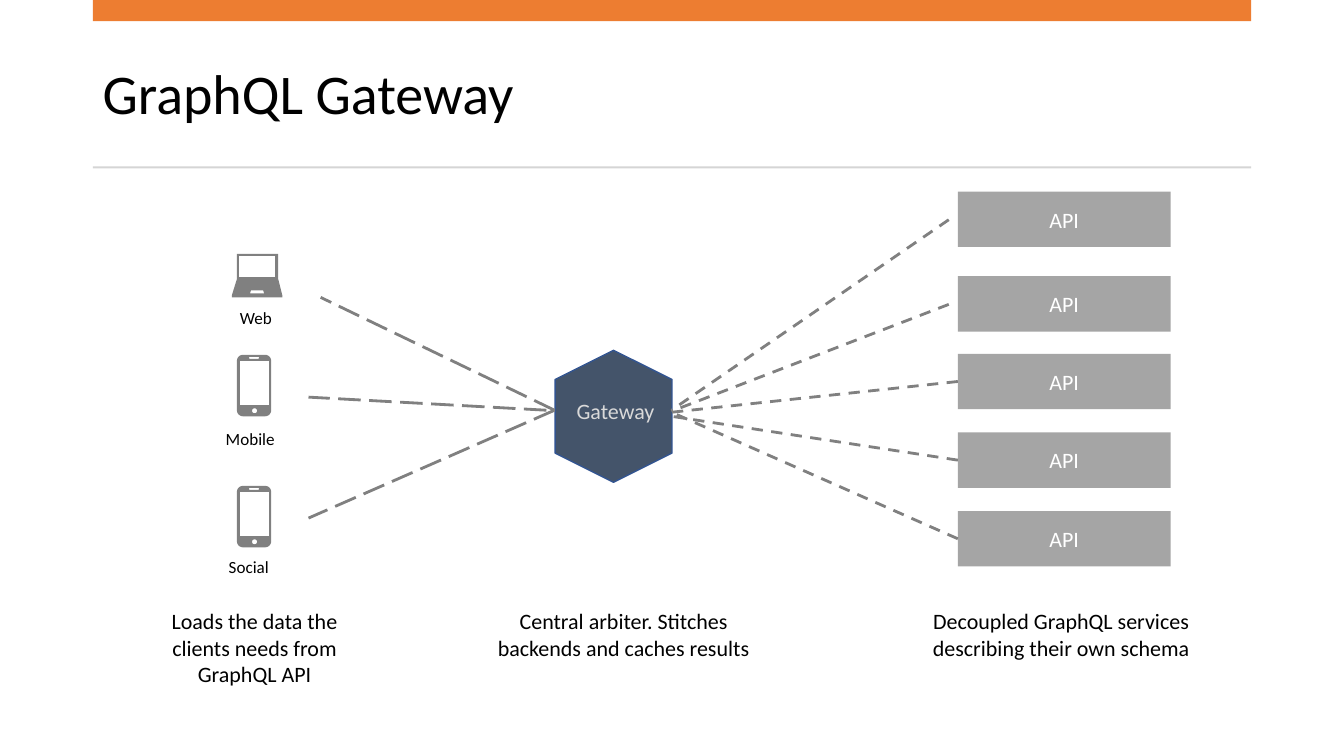
from math import cos, pi, sin

from lxml.etree import SubElement
from pptx import Presentation
from pptx.dml.color import RGBColor
from pptx.enum.dml import MSO_LINE_DASH_STYLE as Dash
from pptx.enum.shapes import MSO_CONNECTOR as Connector, MSO_SHAPE as Shape
from pptx.enum.text import MSO_ANCHOR as Anchor, PP_ALIGN as Align
from pptx.oxml.ns import qn
from pptx.util import Inches, Pt

ORANGE, RULE, GRAY, ICON = "ED7D31", "D5D5D5", "A5A5A5", "808080"
NAVY, NAVY_EDGE, PALE, BLACK, WHITE = "44546A", "325491", "D9D9D9", "000000", "FFFFFF"
BODY, LABEL, TITLE = 15.7, 12.2, 40


def color(value):
    return RGBColor.from_string(value)


def rounded(left, top, width, height, radius):
    corners = [
        (left + width - radius, top + radius, -pi / 2),
        (left + width - radius, top + height - radius, 0),
        (left + radius, top + height - radius, pi / 2),
        (left + radius, top + radius, pi),
    ]
    return [
        (x + radius * cos(start + step * pi / 12), y + radius * sin(start + step * pi / 12))
        for x, y, start in corners
        for step in range(7)
    ]


def box_outline(left, top, right, bottom):
    return [(left, top), (left, bottom), (right, bottom), (right, top)]


class GatewaySlide:
    font = "Calibri"

    def __init__(self, presentation):
        self.shapes = presentation.slides.add_slide(presentation.slide_layouts[6]).shapes

    def fill_text(self, frame, words, size, ink, align):
        frame.text = words
        paragraph = frame.paragraphs[0]
        paragraph.alignment = align
        paragraph.space_after = Pt(6)
        font = paragraph.runs[0].font
        font.name, font.size = self.font, Pt(size)
        font.color.rgb = color(ink)

    def text(self, words, left, top, width, height, size=BODY, ink=BLACK,
             align=Align.LEFT, wrap=True):
        frame = self.shapes.add_textbox(*map(Inches, (left, top, width, height))).text_frame
        frame.word_wrap = wrap
        self.fill_text(frame, words, size, ink, align)
        return frame

    def title(self, words, left, top, width, height):
        frame = self.text(words, left, top, width, height, TITLE)
        frame.vertical_anchor = Anchor.MIDDLE
        frame.paragraphs[0].line_spacing = 0.9
        frame.paragraphs[0].space_after = Pt(0)

    def paint(self, shape, fill, edge=None):
        shape.shadow.inherit = False
        shape.fill.solid()
        shape.fill.fore_color.rgb = color(fill)
        if edge:
            shape.line.color.rgb = color(edge)
            shape.line.width = Pt(1)
        else:
            shape.line.fill.background()
        return shape

    def block(self, left, top, width, height, fill, kind=Shape.RECTANGLE, edge=None):
        shape = self.shapes.add_shape(kind, *map(Inches, (left, top, width, height)))
        return self.paint(shape, fill, edge)

    def api(self, left, top, width, height):
        service = self.block(left, top, width, height, GRAY)
        service.text_frame.vertical_anchor = Anchor.MIDDLE
        self.fill_text(service.text_frame, "API", BODY, WHITE, Align.CENTER)
        return service

    def icon(self, left, top, outlines):
        contours = [[(Inches(left + x), Inches(top + y)) for x, y in outline]
                    for outline in outlines]
        builder = self.shapes.build_freeform(*contours[0][0])
        builder.add_line_segments(contours[0][1:])
        for contour in contours[1:]:
            builder.move_to(*contour[0])
            builder.add_line_segments(contour[1:])
        self.paint(builder.convert_to_shape(), ICON)

    def dashed(self, start, end, dash, service=None):
        link = self.shapes.add_connector(Connector.STRAIGHT, *map(Inches, start + end))
        if service is not None:
            link.begin_connect(service, 1)
        link.line.color.rgb = color(ICON)
        link.line.width = Pt(2)
        link.line.dash_style = dash
        SubElement(link._element.spPr, qn("a:effectLst"))


LAPTOP = [
    [(0.05, 0), (0.46, 0), (0.46, 0.25), (0.5, 0.41), (0.5, 0.43),
     (0, 0.43), (0, 0.41), (0.05, 0.25)],
    box_outline(0.07, 0.02, 0.43, 0.23),
    [(0.19, 0.36), (0.18, 0.39), (0.32, 0.39), (0.31, 0.36)],
]
PHONE = [
    rounded(0, 0, 0.34, 0.61, 0.06),
    box_outline(0.03, 0.06, 0.32, 0.5),
    rounded(0.12, 0.02, 0.1, 0.02, 0.01)[::-1],
    rounded(0.15, 0.53, 0.05, 0.05, 0.025)[::-1],
]


def main():
    presentation = Presentation()
    presentation.slide_width, presentation.slide_height = Inches(13.33), Inches(7.5)
    slide = GatewaySlide(presentation)

    slide.title("GraphQL Gateway", 0.92, 0.37, 11.49, 1.18)
    slide.block(0.92, 0, 11.49, 0.21, ORANGE)
    slide.block(0.92, 1.65, 11.49, 0.02, RULE)

    hexagon = slide.block(5.43, 3.55, 1.31, 1.16, NAVY, Shape.HEXAGON, NAVY_EDGE)
    hexagon.rotation = 90

    clients = [
        ("Web", 2.28, 3, 0.67, LAPTOP, 2.3, 2.52, (3.18, 2.95), 5.5),
        ("Mobile", 2.14, 4.2, 0.73, PHONE, 2.35, 3.52, (3.06, 3.94), 5.42),
        ("Social", 2.17, 5.47, 0.89, PHONE, 2.35, 4.82, (3.06, 5.14), 5.5),
    ]
    for name, left, top, width, outlines, icon_left, icon_top, client_end, gateway_x in clients:
        slide.icon(icon_left, icon_top, outlines)
        slide.text(name, left, top, width, 0.31, LABEL)
        slide.dashed((gateway_x, 4.07), client_end, Dash.LONG_DASH)

    services = [(1.9, 4.07, False), (2.74, 4.08, False), (3.51, 4.09, True),
                (4.29, 4.13, True), (5.07, 4.09, True)]
    for top, gateway_y, joined in services:
        service = slide.api(9.5, top, 2.11, 0.55)
        start = (9.5 if joined else 9.41, top + 0.28)
        slide.dashed(start, (6.66, gateway_y), Dash.DASH, service if joined else None)

    slide.text("Gateway", 5.62, 3.89, 0.98, 0.36, ink=PALE, wrap=False)

    captions = [
        ("Loads the data the clients needs from GraphQL API", 1.31, 2.43, 0.89),
        ("Central arbiter. Stitches backends and caches results", 4.69, 2.99, 0.63),
        ("Decoupled GraphQL services describing their own schema", 9.03, 2.99, 0.63),
    ]
    for words, left, width, height in captions:
        slide.text(words, left, 5.98, width, height, align=Align.CENTER)

    presentation.save("out.pptx")


if __name__ == "__main__":
    main()
